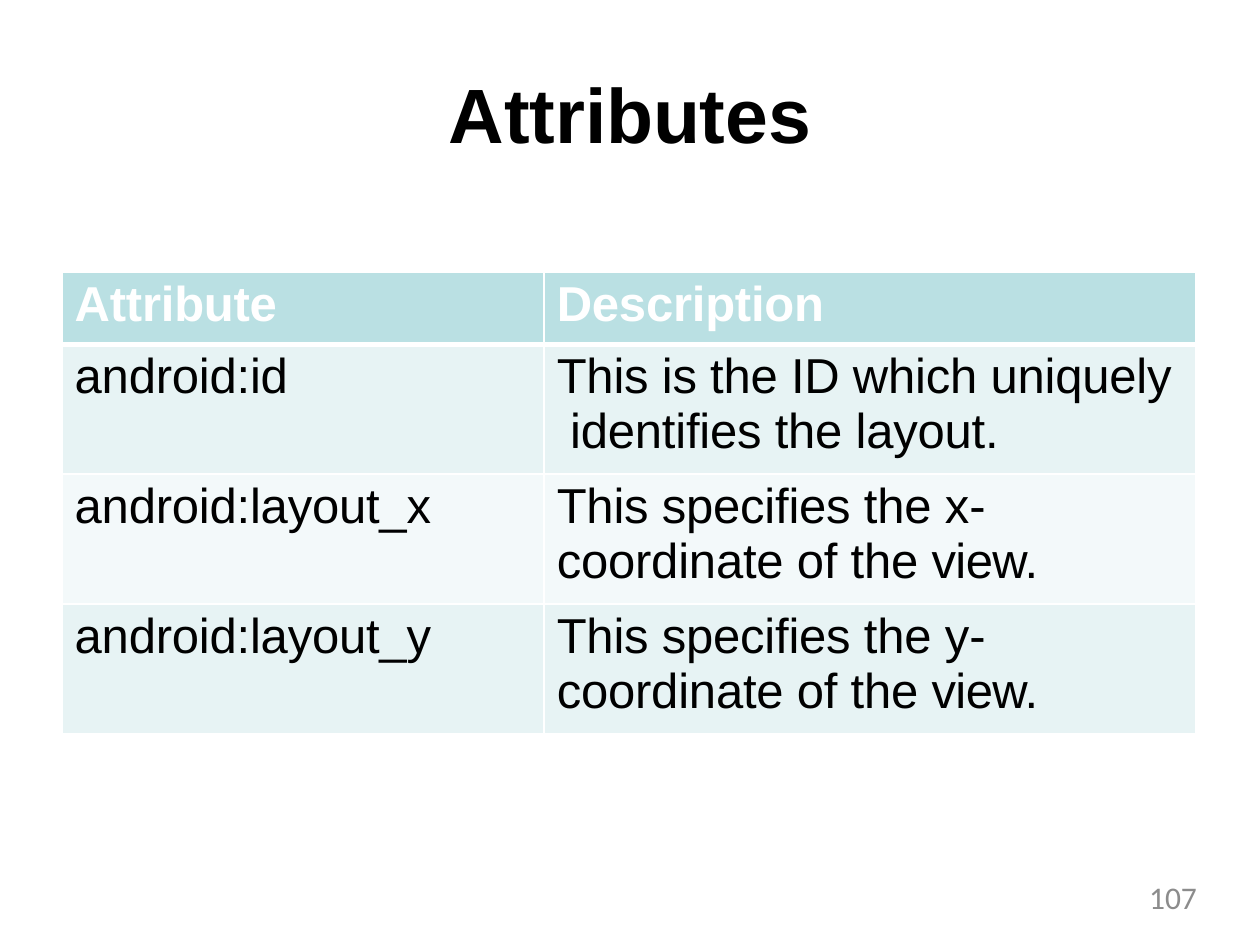
from dataclasses import dataclass

from lxml import etree
from pptx import Presentation
from pptx.dml.color import RGBColor
from pptx.enum.text import MSO_ANCHOR, PP_ALIGN
from pptx.oxml.ns import qn
from pptx.util import Pt

TOP = MSO_ANCHOR.TOP
CENTER, RIGHT = PP_ALIGN.CENTER, PP_ALIGN.RIGHT

BLACK = RGBColor(0x00, 0x00, 0x00)
WHITE = RGBColor(0xFF, 0xFF, 0xFF)
GREY = RGBColor(0x8C, 0x8C, 0x8C)
HEADER_FILL = RGBColor(0xBA, 0xE0, 0xE3)
BAND_FILLS = (RGBColor(0xE7, 0xF3, 0xF4), RGBColor(0xF3, 0xF9, 0xFA))

COLUMN_WIDTHS = (275.5, 372.5)
HEADER_HEIGHT, ROW_HEIGHT = 41.25, 74.25
THIN, THICK = 1.5, 3


@dataclass(frozen=True)
class Style:
    size: float
    color: RGBColor
    bold: bool = False
    font: str = "Arial"


@dataclass(frozen=True)
class Span:
    text: str
    spacing: float = -0.1


TITLE_STYLE = Style(44, BLACK, bold=True)
HEADER_STYLE = Style(28, WHITE, bold=True)
BODY_STYLE = Style(28, BLACK)
NUMBER_STYLE = Style(18, GREY, font="Calibri")


def coordinate_description(axis: str) -> list[Span]:
    return [Span("This specifies the "), Span(f"{axis}- ", 0.1),
            Span("coordinate of the "), Span("view.", -0.3)]


ROWS = [
    ([Span("Attribute")], [Span("Description")]),
    ([Span("android:id")],
     [Span("This is the ID which uniquely\v identifies the layout.")]),
    ([Span("android:layout_x")], coordinate_description("x")),
    ([Span("android:layout_y")], coordinate_description("y")),
]


def add_spans(para, spans: list[Span], style: Style) -> None:
    for span in spans:
        for index, line in enumerate(span.text.split("\v")):
            if index:
                para.add_line_break()
            run = para.add_run()
            run.text = line
            run.font.name = style.font
            run.font.size = Pt(style.size)
            run.font.bold = style.bold
            run.font.color.rgb = style.color
            if span.spacing:
                run.font._element.set("spc", str(round(span.spacing * 100)))


def clear_margins(frame) -> None:
    frame.margin_left = frame.margin_right = Pt(0)
    frame.margin_top = frame.margin_bottom = Pt(0)
    frame.vertical_anchor = TOP
    frame.word_wrap = True


def add_border(cell, side: str, width: float) -> None:
    properties = cell._tc.get_or_add_tcPr()
    line = etree.SubElement(properties, qn(f"a:ln{side}"), w=str(Pt(width)))
    fill = etree.SubElement(line, qn("a:solidFill"))
    etree.SubElement(fill, qn("a:srgbClr"), val=str(WHITE))


def format_cell(cell, row: int, spans: list[Span]) -> None:
    for side in "LRTB":
        under_header = (row, side) in ((0, "B"), (1, "T"))
        add_border(cell, side, THICK if under_header else THIN)
    cell.fill.solid()
    cell.fill.fore_color.rgb = BAND_FILLS[(row - 1) % 2] if row else HEADER_FILL
    cell.margin_left, cell.margin_right = Pt(7.2), Pt(0)
    cell.margin_top, cell.margin_bottom = Pt(2.9), Pt(0)
    cell.vertical_anchor = TOP
    add_spans(cell.text_frame.paragraphs[0], spans,
              BODY_STYLE if row else HEADER_STYLE)


def add_title(slide) -> None:
    title = slide.shapes.title
    title.left, title.top, title.width, title.height = Pt(255), Pt(38), Pt(210), Pt(55)
    clear_margins(title.text_frame)
    para = title.text_frame.paragraphs[0]
    para.alignment = CENTER
    add_spans(para, [Span("Attributes")], TITLE_STYLE)


def add_attribute_table(slide) -> None:
    height = HEADER_HEIGHT + ROW_HEIGHT * (len(ROWS) - 1)
    table = slide.shapes.add_table(
        len(ROWS), len(COLUMN_WIDTHS), Pt(35.5), Pt(155.5),
        Pt(sum(COLUMN_WIDTHS)), Pt(height)).table
    for column, width in zip(table.columns, COLUMN_WIDTHS):
        column.width = Pt(width)
    for row, texts in enumerate(ROWS):
        table.rows[row].height = Pt(ROW_HEIGHT if row else HEADER_HEIGHT)
        for column, spans in enumerate(texts):
            format_cell(table.cell(row, column), row, spans)


def add_page_number(slide) -> None:
    box = slide.shapes.add_textbox(Pt(518.4), Pt(502), Pt(165.6), Pt(27))
    clear_margins(box.text_frame)
    para = box.text_frame.paragraphs[0]
    para.alignment = RIGHT
    add_spans(para, [Span("107", 0)], NUMBER_STYLE)


def main() -> None:
    deck = Presentation()
    deck.slide_width, deck.slide_height = Pt(720), Pt(540)
    slide = deck.slides.add_slide(deck.slide_layouts.get_by_name("Title Only"))
    add_title(slide)
    add_attribute_table(slide)
    add_page_number(slide)
    deck.save("out.pptx")


if __name__ == "__main__":
    main()
